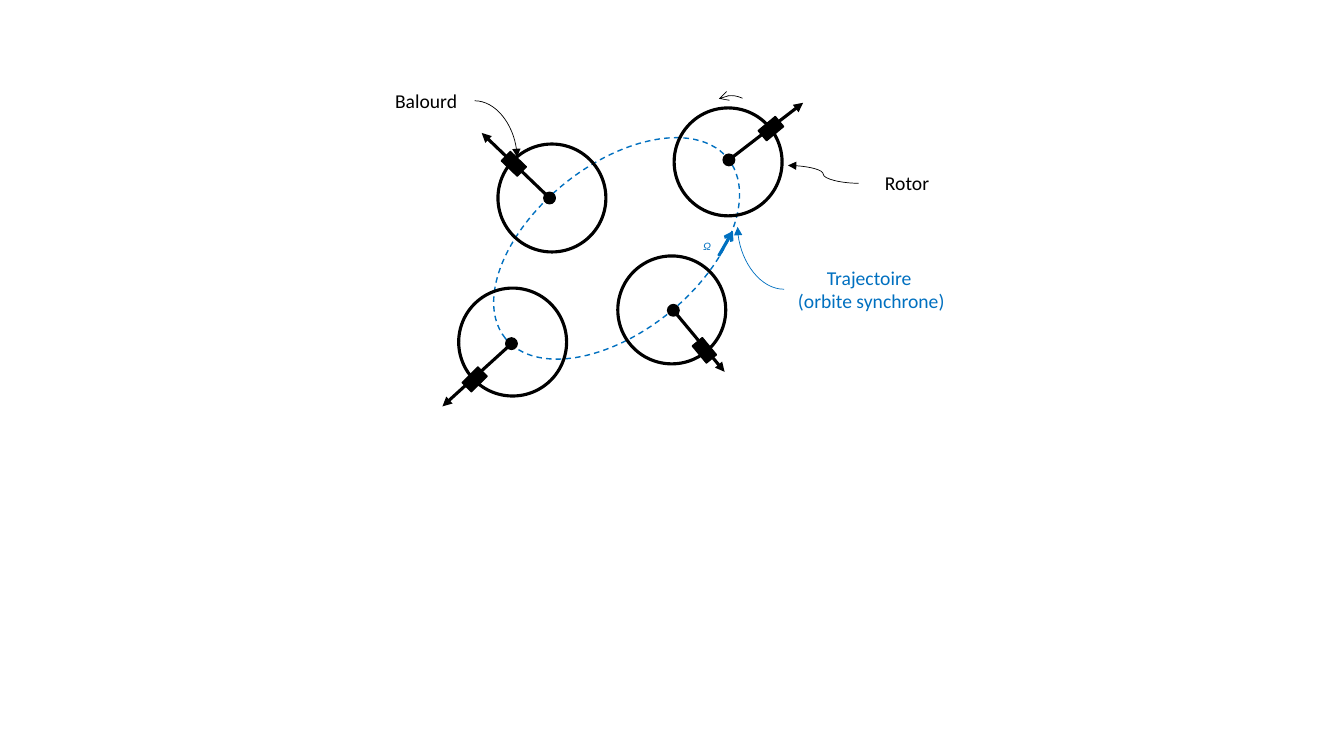
from math import hypot
from lxml.etree import SubElement as add_tag
from pptx import Presentation
from pptx.dml.color import RGBColor
from pptx.enum.dml import MSO_LINE as Dash
from pptx.enum.shapes import MSO_CONNECTOR as Link, MSO_SHAPE as Form
from pptx.enum.text import MSO_ANCHOR as Anchor, PP_ALIGN as Align
from pptx.oxml.ns import qn
from pptx.util import Cm, Pt

BLACK = RGBColor(0, 0, 0)
WHITE = RGBColor(255, 255, 255)
BLUE = RGBColor(0, 0x70, 0xC0)

ROTORS = [
    {"ring": (16.93, 7.81), "hub": (16.97, 7.82), "tip": (18.26, 9.37), "mass": (17.75, 8.83), "turn": 50.4},
    {"ring": (13.91, 4.99), "hub": (13.85, 4.99), "tip": (12.14, 3.35), "mass": (12.95, 4.13), "turn": 43.8},
    {"ring": (12.92, 8.62), "hub": (12.89, 8.66), "tip": (11.15, 10.24), "mass": (11.96, 9.56), "turn": 135.2},
    {"ring": (18.35, 4.08), "hub": (18.37, 4.03), "tip": (20.24, 2.59), "mass": (19.43, 3.24), "turn": 320.3},
]
LABELS = [
    (["Balourd"], (10.74, 2.54), (2.44, 0.86), BLACK),
    (["Rotor"], (22.86, 4.62), (2.44, 0.86), BLACK),
    (["Trajectoire ", "(orbite synchrone)"], (21.96, 7.3), (4.39, 1.45), BLUE),
]
SPEED = (["Ω"], (17.82, 5.89), (1.4, 0.66), BLUE)
CURVES = [
    ((11.96, 2.54), (13.03, 3.96), BLACK, "curvedConnector2"),
    ((21.64, 4.62), (19.86, 4.17), BLACK, "curvedConnector3"),
    ((19.76, 7.29), (18.59, 5.72), BLUE, "curvedConnector2"),
]
FONT = {"name": "Calibri", "size": Pt(14)}
FRAME = {"word_wrap": True, "vertical_anchor": Anchor.TOP}


def style(item, fmt):
    """Set each format value on the item."""
    for key, value in fmt.items():
        setattr(item, key, value)


def place(mid, size):
    """Give the box around a centre point."""
    return [Cm(mid[0] - size[0] / 2), Cm(mid[1] - size[1] / 2), Cm(size[0]), Cm(size[1])]


def stroke(item, color, width):
    """Format the line of a shape or connector."""
    item.line.color.rgb = color
    item.line.width = Pt(width)


def add_head(item, end, kind):
    """Put an arrowhead on one end of a line."""
    add_tag(item.element.spPr.find(qn("a:ln")), qn("a:" + end), type=kind)


def draw(shapes, form, mid, size, turn=0, fill=None, color=BLACK, width=1):
    """Add a shape around its centre."""
    item = shapes.add_shape(form, *place(mid, size))
    item.rotation = turn
    item.shadow.inherit = False
    if fill is None:
        item.fill.background()
    else:
        item.fill.solid()
        item.fill.fore_color.rgb = fill
    stroke(item, color, width)
    return item


def link(shapes, start, end, color, width, kind="triangle", bend=None):
    """Add a straight or curved arrow."""
    ends = [Cm(n) for n in start + end]
    item = shapes.add_connector(Link.CURVE if bend else Link.STRAIGHT, *ends)
    stroke(item, color, width)
    add_head(item, "tailEnd", kind)
    add_tag(item.element.spPr, qn("a:effectLst"))
    if bend:
        item.element.spPr.find(qn("a:prstGeom")).set("prst", bend)


def label(shapes, lines, mid, size, color):
    """Add centred text and return its runs."""
    frame = shapes.add_textbox(*place(mid, size)).text_frame
    style(frame, FRAME)
    runs = []
    for i, text in enumerate(lines):
        para = frame.add_paragraph() if i else frame.paragraphs[0]
        para.alignment = Align.CENTER
        run = para.add_run()
        run.text = text
        style(run.font, FONT)
        run.font.color.rgb = color
        runs.append(run)
    return runs


def main():
    """Build the rotor orbit slide."""
    deck = Presentation()
    style(deck, {"slide_width": Cm(33.87), "slide_height": Cm(19.05)})
    slide = deck.slides.add_slide(deck.slide_layouts[6])
    shapes = slide.shapes.add_group_shape().shapes

    orbit = draw(shapes, Form.OVAL, (15.54, 6.26), (7.21, 4.19), 321.1, WHITE, BLUE)
    orbit.line.dash_style = Dash.DASH
    for rotor in ROTORS:
        draw(shapes, Form.OVAL, rotor["ring"], (2.72, 2.72), width=2.25)
        draw(shapes, Form.OVAL, rotor["hub"], (0.29, 0.29), fill=BLACK)
        link(shapes, rotor["hub"], rotor["tip"], BLACK, 2.25)
        draw(shapes, Form.RECTANGLE, rotor["mass"], (0.56, 0.33), rotor["turn"], BLACK)

    spin = draw(shapes, Form.ARC, (18.57, 3.61), (2.44, 1.73), 255.5, width=0.5)
    spin.adjustments[0], spin.adjustments[1] = 211.62, 12.96
    add_head(spin, "headEnd", "arrow")
    link(shapes, (18.11, 6.45), (18.47, 5.82), BLUE, 2.25, "arrow")

    for start, end, color, bend in CURVES:
        link(shapes, start, end, color, 0.5, bend=bend)
    for item in LABELS:
        label(shapes, *item)
    omega = label(shapes, *SPEED)[0]
    omega.font.italic = True
    omega.font._element.set("baseline", "-25000")
    deck.save("out.pptx")


if __name__ == "__main__":
    main()
